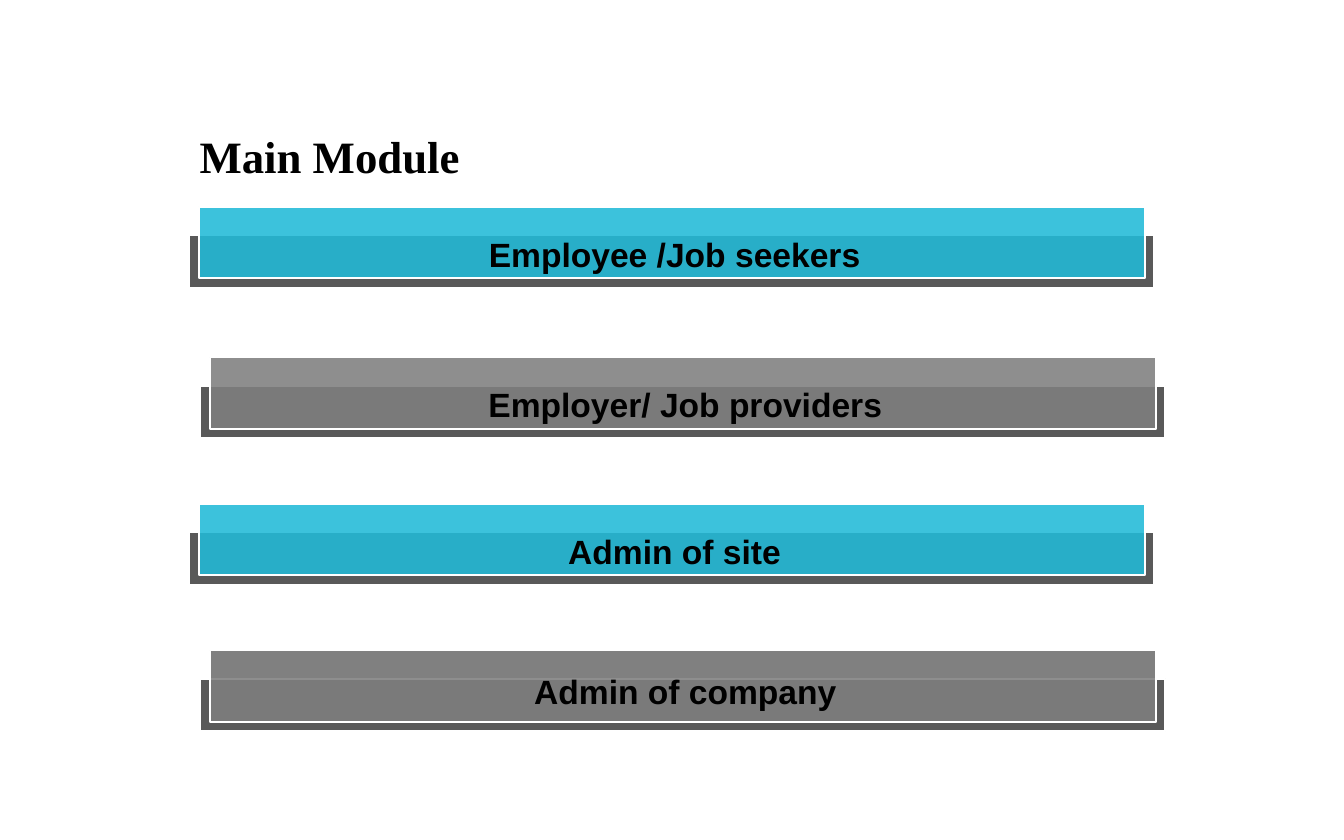
from pptx import Presentation
from pptx.dml.color import RGBColor
from pptx.enum.shapes import MSO_SHAPE
from pptx.enum.text import MSO_ANCHOR, PP_ALIGN
from pptx.oxml.ns import qn
from pptx.util import Inches, Pt
from lxml import etree

RECTANGLE = MSO_SHAPE.RECTANGLE
TOP = MSO_ANCHOR.TOP
CENTER, RIGHT = PP_ALIGN.CENTER, PP_ALIGN.RIGHT

THEME = {
    "teal": "22BAD8", "gray": "7F7F7F", "tray": "595959",
    "edge": "FFFFFF", "ink": "000000",
    "title_font": "Times New Roman", "title_size": 24,
    "label_font": "Arial", "label_size": 18,
    "edge_width": 1, "bar_opacity": 88,
}

deck = Presentation()
deck.slide_width, deck.slide_height = Inches(10), Inches(6.25)
COLUMN, ROW = deck.slide_width / 100, deck.slide_height / 100
slide = deck.slides.add_slide(deck.slide_layouts[5])


def add_block(left, top, width, height, color, opacity=100):
    block = slide.shapes.add_shape(
        RECTANGLE, round(left * COLUMN), round(top * ROW),
        round(width * COLUMN), round(height * ROW))
    block.shadow.inherit = False
    block.fill.solid()
    block.fill.fore_color.rgb = RGBColor.from_string(THEME[color])
    block.line.color.rgb = RGBColor.from_string(THEME["edge"])
    block.line.width = Pt(THEME["edge_width"])
    if opacity < 100:
        tint = block.fill._xPr.find(qn("a:solidFill"))[0]
        etree.SubElement(tint, qn("a:alpha")).set("val", str(opacity * 1000))


def write(box, text, role, align, line_spacing):
    frame = box.text_frame
    frame.text = text
    frame.word_wrap = True
    frame.vertical_anchor = TOP
    paragraph = frame.paragraphs[0]
    paragraph.alignment = align
    paragraph.line_spacing = line_spacing
    font = paragraph.runs[0].font
    font.name = THEME[role + "_font"]
    font.size = Pt(THEME[role + "_size"])
    font.bold = True
    font.color.rgb = RGBColor.from_string(THEME["ink"])


title = slide.shapes.title
title.left, title.top = round(8.6 * COLUMN), round(13.3 * ROW)
title.width, title.height = round(26.6 * COLUMN), round(9.3 * ROW)
write(title, "Main Module", "title", RIGHT, 1.2)

BAR_WIDTH, BAR_HEIGHT = 70.4, 8.5
TRAY_WIDTH, TRAY_HEIGHT, TRAY_DROP = 71.8, 6.24, 3.36
LABEL_WIDTH, LABEL_HEIGHT = 32, 7.36

modules = [
    ("Employee /Job seekers", 14.8, 24.64, "teal", 1.44, 1.2, 1),
    ("Employer/ Job providers", 15.6, 42.56, "gray", 1.44, 1.2, 1),
    ("Admin of site", 14.8, 60, "teal", 1.44, 1.2, 1),
    ("Admin of company", 15.6, 77.44, "gray", 1.6, 1, 2),
]

for name, left, top, color, label_drop, spacing, layers in modules:
    for _ in range(layers - 1):
        add_block(left, top, BAR_WIDTH, BAR_HEIGHT, color, THEME["bar_opacity"])
    add_block(left - (TRAY_WIDTH - BAR_WIDTH) / 2, top + TRAY_DROP,
              TRAY_WIDTH, TRAY_HEIGHT, "tray")
    add_block(left, top, BAR_WIDTH, BAR_HEIGHT, color, THEME["bar_opacity"])
    label = slide.shapes.add_textbox(
        round((left + (BAR_WIDTH - LABEL_WIDTH) / 2 + 0.2) * COLUMN),
        round((top + label_drop) * ROW),
        round(LABEL_WIDTH * COLUMN), round(LABEL_HEIGHT * ROW))
    write(label, name, "label", CENTER, spacing)

deck.save("out.pptx")
